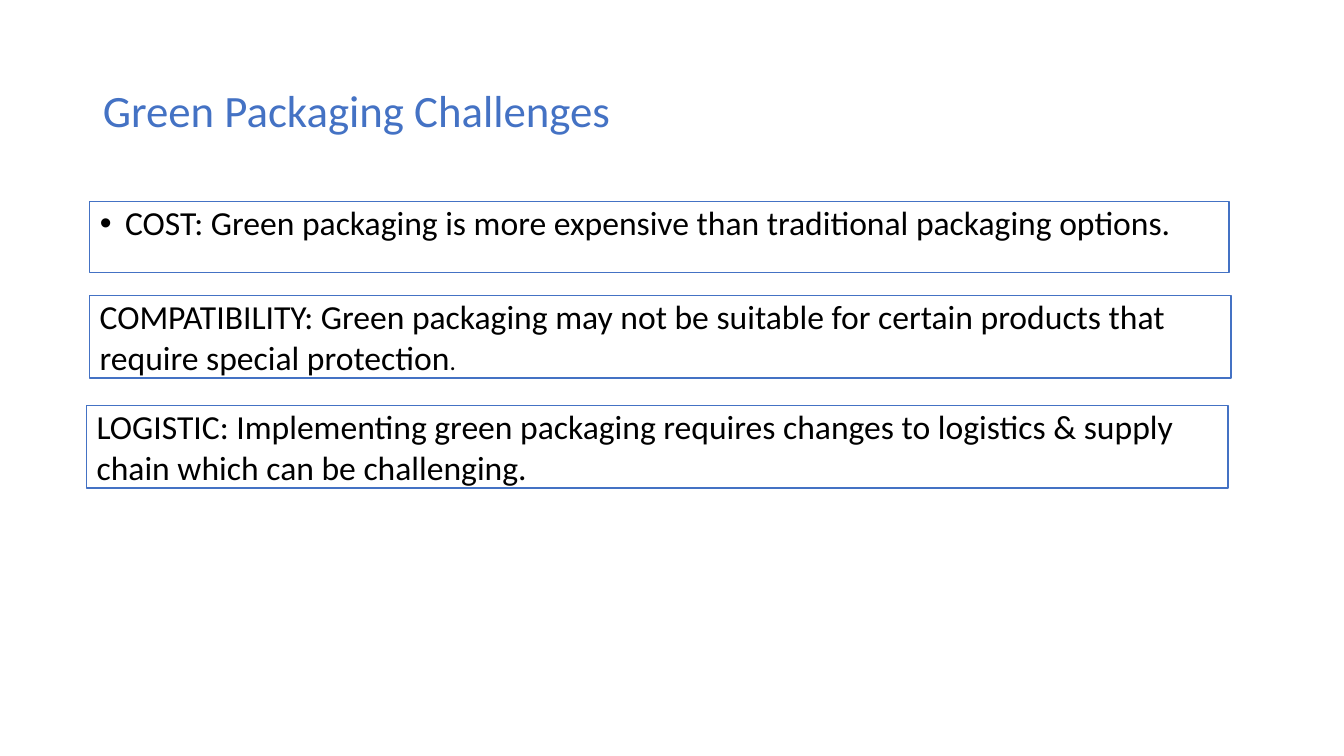
import pptx
import pptx.dml.color
import pptx.enum.shapes
import pptx.enum.text
import pptx.util

Inches = pptx.util.Inches
Pt = pptx.util.Pt
ANCHOR = pptx.enum.text.MSO_ANCHOR

COLOURS = {"accent": "4472C4", "text": "000000", "box": "FFFFFF"}
FONT = "Calibri"


class ChallengeSlide:
    """Holds the style and the current slide."""

    def __init__(self, deck):
        self.slide = deck.slides.add_slide(deck.slide_layouts[1])

    def colour(self, name):
        return pptx.dml.color.RGBColor.from_string(COLOURS[name])

    def place(self, shape, left, top, width, height):
        position = {"left": left, "top": top, "width": width, "height": height}
        for side, inches in position.items():
            setattr(shape, side, Inches(inches))

    def fill_text(self, shape, runs, anchor, colour="text", **paragraph_format):
        frame = shape.text_frame
        frame_format = {
            "word_wrap": True,
            "auto_size": pptx.enum.text.MSO_AUTO_SIZE.NONE,
            "vertical_anchor": anchor,
        }
        for key, value in frame_format.items():
            setattr(frame, key, value)
        paragraph = frame.paragraphs[0]
        paragraph_format["alignment"] = pptx.enum.text.PP_ALIGN.LEFT
        for key, value in paragraph_format.items():
            setattr(paragraph, key, value)
        for text, size in runs:
            run = paragraph.add_run()
            run.text = text
            for key, value in {"name": FONT, "size": Pt(size)}.items():
                setattr(run.font, key, value)
            run.font.color.rgb = self.colour(colour)
        return paragraph

    def title(self, text, *position):
        heading = self.slide.shapes.title
        self.place(heading, *position)
        self.fill_text(heading, [(text, 32)], ANCHOR.MIDDLE, "accent",
                       line_spacing=0.9)

    def bullet(self, text, *position):
        body = self.slide.placeholders[1]
        self.place(body, *position)
        paragraph = self.fill_text(body, [(text, 24)], ANCHOR.TOP,
                                   line_spacing=0.9, space_before=Pt(10))
        properties = paragraph._p.get_or_add_pPr()
        properties.set("marL", str(Inches(0.25)))
        properties.set("indent", str(Inches(-0.25)))

    def box(self, position, line_width, runs=()):
        frame = self.slide.shapes.add_shape(
            pptx.enum.shapes.MSO_SHAPE.RECTANGLE, *map(Inches, position))
        frame.shadow.inherit = False
        frame.line.color.rgb = self.colour("accent")
        frame.line.width = Pt(line_width)
        if runs:
            frame.fill.solid()
            frame.fill.fore_color.rgb = self.colour("box")
            self.fill_text(frame, runs, ANCHOR.MIDDLE)
        else:
            frame.fill.background()


def main():
    deck = pptx.Presentation()
    deck.slide_width, deck.slide_height = Inches(13.33), Inches(7.5)
    challenges = ChallengeSlide(deck)

    # Title
    challenges.title("Green Packaging Challenges", 0.92, 0.4, 11.5, 1.45)

    # Cost: list item with an outline around it
    challenges.bullet(
        "COST: Green packaging is more expensive than traditional packaging options.",
        0.89, 2, 11.5, 4.76)
    challenges.box((0.89, 2, 11.3, 0.7), 0.75)

    # Compatibility and logistics boxes
    challenges.box((0.89, 2.93, 11.32, 0.82), 1, [
        ("COMPATIBILITY: Green packaging may not be suitable for certain products "
         "that require special protection", 24),
        (".", 18)])
    challenges.box((0.86, 4.02, 11.32, 0.82), 1, [
        ("LOGISTIC: Implementing green packaging requires changes to logistics & "
         "supply chain which can be challenging.", 24)])

    deck.save("out.pptx")


if __name__ == "__main__":
    main()
